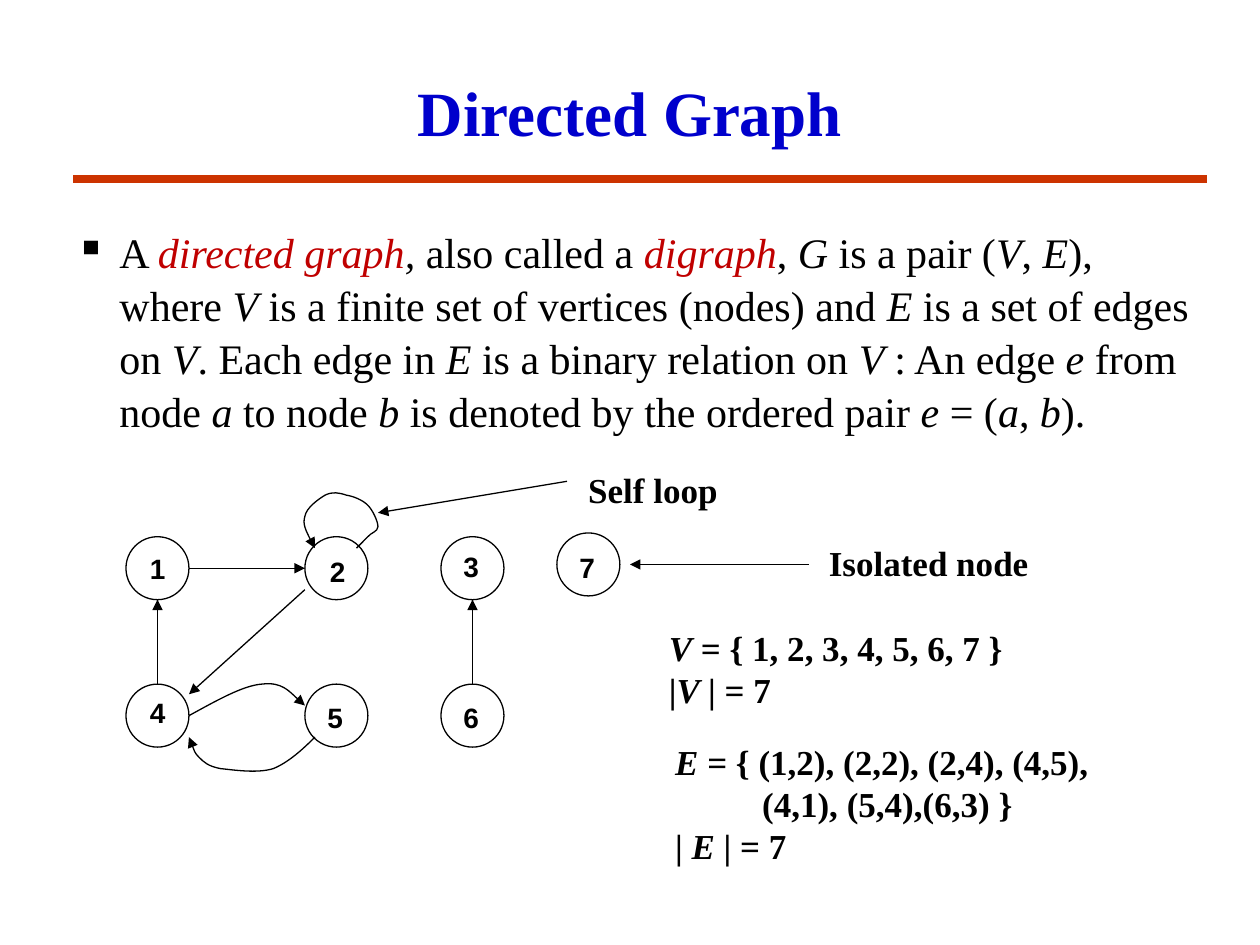
from dataclasses import dataclass

from lxml import etree
from pptx import Presentation
from pptx import util as u
from pptx.dml.color import RGBColor
from pptx.enum import shapes, text
from pptx.oxml import ns


@dataclass(frozen=True)
class Theme:
    title: str = "0000CC"
    rule: str = "CC3300"
    term: str = "C00000"
    ink: str = "000000"
    serif: str = "Times New Roman"
    sans: str = "Arial"
    title_size: int = 36
    body_size: int = 24
    label_size: int = 20
    node_size: int = 16
    rule_width: float = 4.5
    edge_width: float = 0.75


THEME = Theme()
NODE_SIZE = 0.5
TERMS = ("directed graph", "digraph")

DEFINITION = (
    "A *directed graph**,* also called a *digraph*, *G* is a pair (*V*, *E*), "
    "where *V* is a finite set of vertices (nodes) and *E* is a set of edges "
    "on *V*. Each edge in *E* is a binary relation on *V *: An edge *e* from "
    "node *a* to node *b *is denoted by the ordered pair *e* = (*a*, *b*)."
)

# number: (circle left, circle top, label left, label top)
NODES = {
    1: (1, 4.26, 1.09, 4.33),
    2: (2.42, 4.26, 2.52, 4.35),
    3: (3.5, 4.26, 3.58, 4.31),
    4: (1, 5.43, 1.09, 5.47),
    5: (2.42, 5.43, 2.5, 5.51),
    6: (3.5, 5.43, 3.58, 5.51),
    7: (4.42, 4.23, 4.5, 4.32),
}

STRAIGHT_ARROWS = [
    ((1.25, 5.43), (1.25, 4.76)),
    ((1.5, 4.51), (2.42, 4.51)),
    ((2.42, 4.68), (1.5, 5.51)),
    ((3.75, 5.43), (3.75, 4.76)),
    ((4.5, 3.82), (3, 4.07)),
    ((6.42, 4.48), (5, 4.48)),
]

# start point, then two control points and an end point per curve piece
SELF_LOOP = [
    (2.83, 4.35), (2.85, 4.33), (2.89, 4.29), (2.92, 4.26),
    (2.94, 4.23), (3, 4.22), (3, 4.18), (3, 4.14), (2.96, 4.05), (2.92, 4.01),
    (2.88, 3.97), (2.81, 3.94), (2.75, 3.93), (2.69, 3.91), (2.64, 3.9), (2.58, 3.93),
    (2.53, 3.96), (2.43, 4.03), (2.42, 4.1), (2.4, 4.16), (2.45, 4.26), (2.5, 4.35),
]
FOUR_TO_FIVE = [
    (1.5, 5.68), (1.72, 5.56), (1.93, 5.44), (2.08, 5.43),
    (2.24, 5.41), (2.36, 5.55), (2.42, 5.6),
]
FIVE_TO_FOUR = [
    (2.5, 5.85), (2.4, 5.95), (2.29, 6.05), (2.17, 6.1),
    (2.04, 6.14), (1.85, 6.11), (1.75, 6.1), (1.65, 6.08), (1.62, 6.05), (1.58, 6.01),
    (1.54, 5.97), (1.51, 5.87), (1.5, 5.85),
]


def inches(*values):
    return [u.Inches(v) for v in values]


def style_line(s, color, width, arrow=False):
    s.line.color.rgb = RGBColor.from_string(color)
    s.line.width = u.Pt(width)
    if arrow:
        etree.SubElement(s.line._get_or_add_ln(), ns.qn("a:tailEnd"), type="triangle")


def add_line(slide, start, end, color, width, arrow=False):
    s = slide.shapes.add_connector(shapes.MSO_CONNECTOR.STRAIGHT, *inches(*start, *end))
    style_line(s, color, width, arrow)
    etree.SubElement(s._element.spPr, ns.qn("a:effectLst"))


def add_curved_arrow(slide, points):
    """Draw cubic curves by merging each three line segments into one Bezier."""
    builder = slide.shapes.build_freeform(*inches(*points[0]), scale=1.0)
    builder.add_line_segments([inches(*pt) for pt in points[1:]], close=False)
    s = builder.convert_to_shape()
    s.shadow.inherit = False
    s.fill.background()
    style_line(s, THEME.ink, THEME.edge_width, arrow=True)
    segments = list(s._element.iter(ns.qn("a:lnTo")))
    for i in range(0, len(segments), 3):
        curve = etree.Element(ns.qn("a:cubicBezTo"))
        segments[i].addprevious(curve)
        for segment in segments[i:i + 3]:
            curve.append(segment[0])
            segment.getparent().remove(segment)


def add_rich_text(p, content, color, **fmt):
    """Write text in which *stars* enclose italics; defined terms turn red."""
    for i, piece in enumerate(content.split("*")):
        if piece:
            r = p.add_run()
            r.text = piece
            for name, value in {**fmt, "italic": i % 2 == 1}.items():
                setattr(r.font, name, value)
            r.font.color.rgb = RGBColor.from_string(THEME.term if piece in TERMS else color)


def add_text(slide, box, lines, size, font=THEME.serif, color=THEME.ink, bold=True,
             wrap=False, anchor=text.MSO_ANCHOR.TOP):
    tf = slide.shapes.add_textbox(*inches(*box)).text_frame
    tf.word_wrap = wrap
    tf.vertical_anchor = anchor
    for i, line in enumerate(lines):
        p = tf.add_paragraph() if i else tf.paragraphs[0]
        add_rich_text(p, line, color, name=font, size=u.Pt(size), bold=bold)
    return tf


def set_indent(p, left, first=0, bullet=None):
    pPr = p._p.get_or_add_pPr()
    pPr.set("marL", str(u.Inches(left)))
    pPr.set("indent", str(u.Inches(first)))
    if bullet:
        etree.SubElement(pPr, ns.qn("a:buChar"), char=bullet)


def add_node(slide, number, left, top, label_left, label_top):
    s = slide.shapes.add_shape(shapes.MSO_SHAPE.OVAL, *inches(left, top, NODE_SIZE, NODE_SIZE))
    s.shadow.inherit = False
    s.fill.background()
    style_line(s, THEME.ink, THEME.edge_width)
    add_text(slide, (label_left, label_top, 0.32, 0.37), [str(number)],
             THEME.node_size, THEME.sans)


def add_heading(slide):
    add_line(slide, (0.58, 1.42), (9.58, 1.42), THEME.rule, THEME.rule_width)
    tf = add_text(slide, (0.75, 0.42, 8.5, 0.92), ["Directed Graph"], THEME.title_size,
                  color=THEME.title, wrap=True, anchor=text.MSO_ANCHOR.MIDDLE)
    tf.paragraphs[0].alignment = text.PP_ALIGN.CENTER


def add_definition(slide):
    tf = add_text(slide, (0.5, 1.58, 9.1, 2.08), [DEFINITION], THEME.body_size,
                  bold=False, wrap=True, anchor=text.MSO_ANCHOR.MIDDLE)
    p = tf.paragraphs[0]
    p.space_before = u.Pt(3)
    p.line_spacing = 1.05
    set_indent(p, 0.35, -0.35, "▪")


def add_graph(slide):
    for number, place in NODES.items():
        add_node(slide, number, *place)
    for start, end in STRAIGHT_ARROWS:
        add_line(slide, start, end, THEME.ink, THEME.edge_width, arrow=True)
    for points in (SELF_LOOP, FOUR_TO_FIVE, FIVE_TO_FOUR):
        add_curved_arrow(slide, points)


def add_notation(slide):
    size = THEME.label_size
    add_text(slide, (4.57, 3.67, 1.24, 0.44), ["Self loop"], size)
    add_text(slide, (6.48, 4.25, 1.87, 0.43), ["Isolated node"], size)
    add_text(slide, (5.21, 4.92, 2.87, 0.77),
             ["*V* = { 1, 2, 3, 4, 5, 6, 7 }", "|*V *| = 7"], size)
    tf = add_text(slide, (5.26, 5.83, 3.58, 1.11),
                  ["*E* = { (1,2), (2,2), (2,4), (4,5),", "(4,1), (5,4),(6,3) }",
                   "| *E* | = 7"], size)
    set_indent(tf.paragraphs[1], 0.69)


def main():
    prs = Presentation()
    prs.slide_width, prs.slide_height = inches(10, 7.5)
    slide = prs.slides.add_slide(prs.slide_layouts[6])
    add_heading(slide)
    add_definition(slide)
    add_graph(slide)
    add_notation(slide)
    prs.save("out.pptx")


if __name__ == "__main__":
    main()
